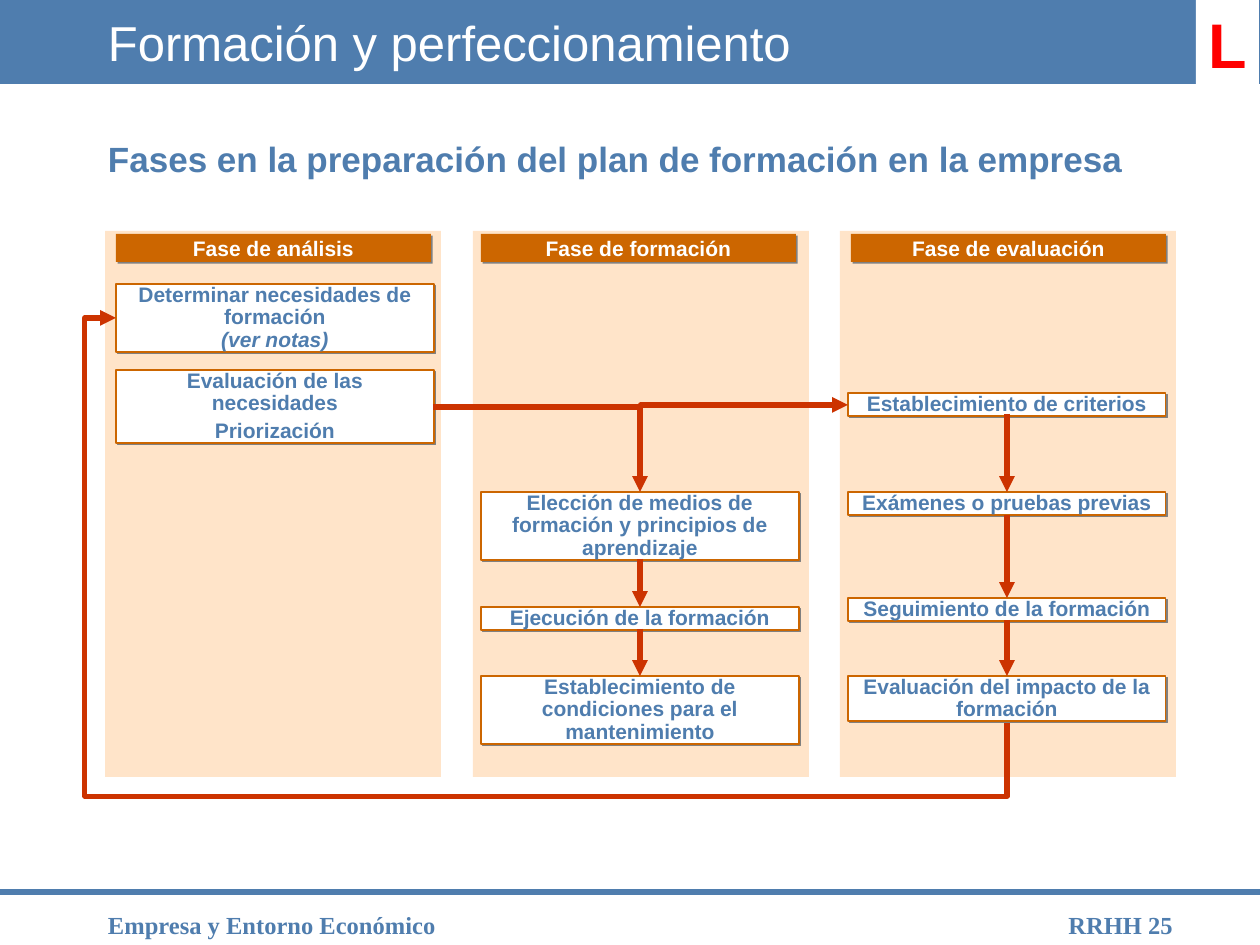
from dataclasses import dataclass

from lxml import etree
from pptx import Presentation
from pptx import util as u
from pptx.dml.color import RGBColor
from pptx.enum import shapes, text
from pptx.oxml import ns

PIXEL = 914400 // 126
BLUE, ORANGE, PEACH, RED, WHITE = "4F7DAE", "CC6600", "FFE4C9", "CC3300", "FFFFFF"
LEFT, CENTER, RIGHT = text.PP_ALIGN.LEFT, text.PP_ALIGN.CENTER, text.PP_ALIGN.RIGHT


@dataclass
class Step:
    top: int
    height: int
    wording: str
    italic_end: bool = False


@dataclass
class Phase:
    name: str
    panel_left: int
    header_left: int
    box_left: int
    steps: list[Step]


@dataclass
class Arrow:
    begin: tuple[int, int]
    end: tuple[int, int]
    preset: str = "straightConnector1"
    rotation: int = 0
    adjusts: tuple[int, ...] = ()


PHASES = [
    Phase("Fase de análisis", 105, 116, 116, [
        Step(284, 68, "Determinar necesidades de formación\v(ver notas)", True),
        Step(370, 73, "Evaluación de las necesidades\nPriorización"),
    ]),
    Phase("Fase de formación", 473, 481, 481, [
        Step(492, 68, "Elección de medios de formación y principios de aprendizaje"),
        Step(607, 23, "Ejecución de la formación"),
        Step(676, 68, "Establecimiento de condiciones para el mantenimiento"),
    ]),
    Phase("Fase de evaluación", 840, 851, 848, [
        Step(393, 23, "Establecimiento de criterios"),
        Step(492, 23, "Exámenes o pruebas previas"),
        Step(598, 23, "Seguimiento de la formación"),
        Step(676, 45, "Evaluación del impacto de la formación"),
    ]),
]
ARROWS = [
    Arrow((433, 407), (848, 405), "bentConnector3", adjusts=(50000,)),
    Arrow((433, 407), (640, 492), "bentConnector2"),
    Arrow((640, 559), (640, 607)),
    Arrow((640, 629), (640, 676)),
    Arrow((1007, 414), (1007, 492)),
    Arrow((1007, 515), (1007, 598)),
    Arrow((1007, 620), (1007, 676)),
    # The return loop is laid out before its quarter turn
    Arrow((359, 966), (764, 75), "bentConnector4", 270, (-18100, 103500)),
]


def px(value: int) -> u.Emu:
    return u.Emu(value * PIXEL)


def color(value: str) -> RGBColor:
    return RGBColor.from_string(value)


def write(shape, wording: str, size: int, ink: str, align=LEFT, bold: bool = True,
          font: str = "Arial", anchor=text.MSO_ANCHOR.TOP, margins=(13, 6),
          wrap: bool = True, spacing: float = 1.0, before: int = 0) -> None:
    frame = shape.text_frame
    frame.text = wording
    frame.word_wrap = wrap
    frame.auto_size = text.MSO_AUTO_SIZE.NONE
    frame.vertical_anchor = anchor
    frame.margin_left = frame.margin_right = px(margins[0])
    frame.margin_top = frame.margin_bottom = px(margins[1])
    for para in frame.paragraphs:
        para.alignment = align
        para.line_spacing = spacing
        para.space_before = u.Pt(before)
        for span in para.runs:
            span.font.name = font
            span.font.size = u.Pt(size)
            span.font.bold = bold
            span.font.color.rgb = color(ink)


def add_box(page, left: int, top: int, width: int, height: int, fill: str,
            outline: str = "", shadow: bool = False):
    box = page.shapes.add_shape(shapes.MSO_SHAPE.RECTANGLE,
                                px(left), px(top), px(width), px(height))
    box.fill.solid()
    box.fill.fore_color.rgb = color(fill)
    if outline:
        box.line.color.rgb = color(outline)
        box.line.width = u.Pt(0.75)
    else:
        box.line.fill.background()
    box.shadow.inherit = False
    if shadow:
        effects = box.element.spPr.find(ns.qn("a:effectLst"))
        outer = etree.SubElement(effects, ns.qn("a:outerShdw"), dist=str(u.Pt(1.4)),
                                 dir="2700000", algn="ctr", rotWithShape="0")
        etree.SubElement(outer, ns.qn("a:srgbClr"), val="808080")
    return box


def add_label(page, left: int, top: int, width: int, height: int,
              wording: str, size: int, **style) -> None:
    label = page.shapes.add_textbox(px(left), px(top), px(width), px(height))
    write(label, wording, size, BLUE, **style)


def add_line(page, begin: tuple[int, int], end: tuple[int, int], ink: str):
    line = page.shapes.add_connector(shapes.MSO_CONNECTOR.STRAIGHT,
                                     *map(px, begin), *map(px, end))
    line.line.color.rgb = color(ink)
    line.line.width = u.Pt(3)
    etree.SubElement(line.element.spPr, ns.qn("a:effectLst"))
    return line


def add_arrow(page, arrow: Arrow) -> None:
    line = add_line(page, arrow.begin, arrow.end, RED)
    properties = line.element.spPr
    etree.SubElement(properties.find(ns.qn("a:ln")), ns.qn("a:tailEnd"), type="triangle")
    geometry = properties.find(ns.qn("a:prstGeom"))
    geometry.set("prst", arrow.preset)
    guides = geometry.find(ns.qn("a:avLst"))
    for number, value in enumerate(arrow.adjusts, 1):
        etree.SubElement(guides, ns.qn("a:gd"), name=f"adj{number}", fmla=f"val {value}")
    if arrow.rotation:
        properties.find(ns.qn("a:xfrm")).set("rot", str(arrow.rotation * 60000))


def add_phase(page, phase: Phase) -> None:
    add_box(page, phase.panel_left, 231, 336, 546, PEACH)
    header = add_box(page, phase.header_left, 234, 315, 28, ORANGE, shadow=True)
    write(header, phase.name, 12, WHITE, CENTER, anchor=text.MSO_ANCHOR.MIDDLE, wrap=False)
    for step in phase.steps:
        box = add_box(page, phase.box_left, step.top, 318, step.height, WHITE, ORANGE, True)
        write(box, step.wording, 12, BLUE, CENTER, margins=(5, 0), spacing=0.9, before=3)
        if step.italic_end:
            box.text_frame.paragraphs[-1].runs[-1].font.italic = True


deck = Presentation()
deck.slide_width, deck.slide_height = px(1260), px(945)
page = deck.slides.add_slide(deck.slide_layouts[5])

# Title band, with the title placeholder moved above it
band = add_box(page, 0, 0, 1260, 84, BLUE)
title = page.shapes.title
band.element.addnext(title.element)
title.left, title.top, title.width, title.height = px(95), px(0), px(1071), px(84)
write(title, "Formación y perfeccionamiento", 28, WHITE, bold=False,
      anchor=text.MSO_ANCHOR.MIDDLE)
badge = add_box(page, 1196, 0, 63, 88, WHITE)
write(badge, "L", 36, "FF0000", CENTER, wrap=False)

add_label(page, 95, 136, 1071, 53,
          "Fases en la preparación del plan de formación en la empresa", 20,
          spacing=0.9, before=5)

# Phases and flow
for phase in PHASES:
    add_phase(page, phase)
for arrow in ARROWS:
    add_arrow(page, arrow)

# Footer
add_line(page, (0, 892), (1260, 892), BLUE)
add_label(page, 95, 904, 588, 32, "Empresa y Entorno Económico", 14, font="Times New Roman")
add_label(page, 1007, 904, 179, 32, "RRHH 25", 14, align=RIGHT, font="Times New Roman")

deck.save("out.pptx")
